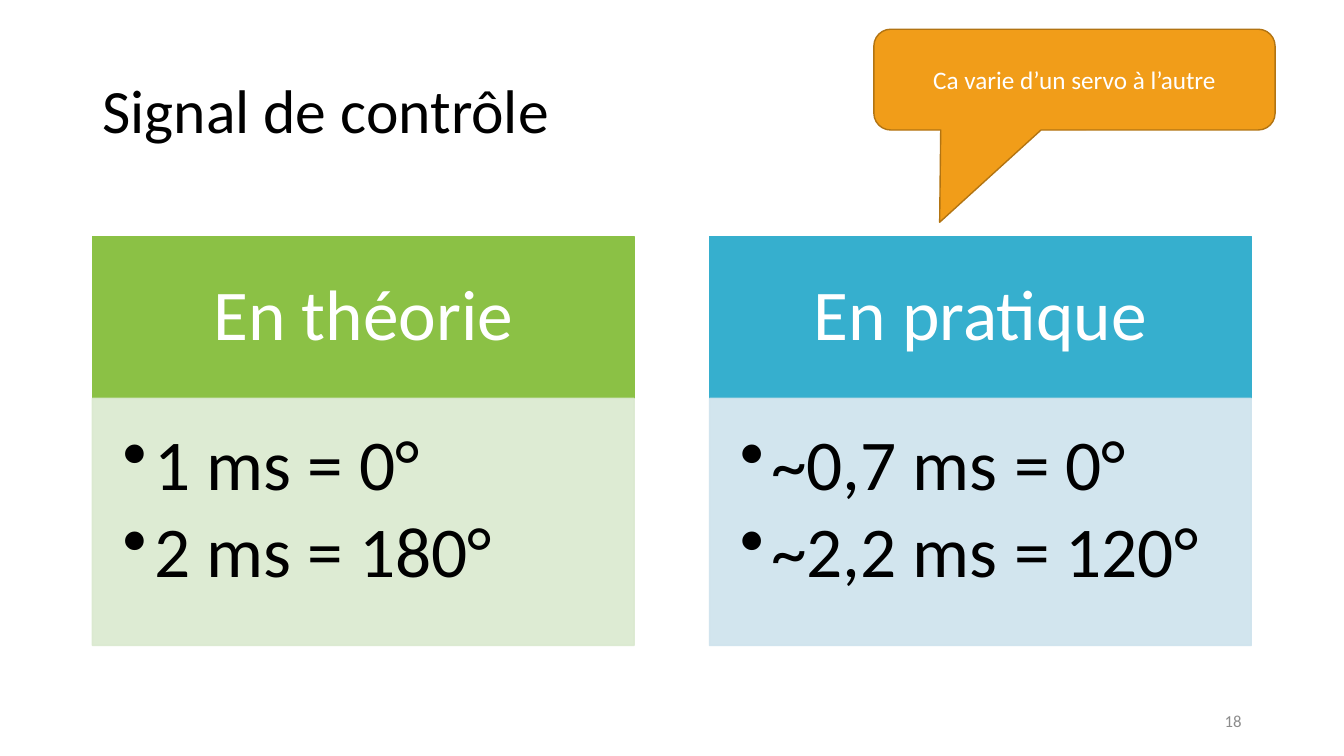
from lxml import etree
from pptx import Presentation
from pptx.dml.color import RGBColor
from pptx.enum import shapes, text
from pptx.oxml import ns
from pptx.util import Pt

COLORS = {
    "black": "000000", "white": "FFFFFF", "grey": "8C8C8C",
    "green": "8BC145", "pale green": "DAE9CF",
    "blue": "36AFCE", "pale blue": "CEE3ED",
    "orange": "F19D19", "brown": "B27412",
}
SHAPE = shapes.MSO_SHAPE
ALIGN = text.PP_ALIGN
ANCHOR = text.MSO_ANCHOR


def add_box(kind, box, fill, line, alpha=None):
    sp = slide.shapes.add_shape(kind, *map(Pt, box))
    sp.shadow.inherit = False
    sp.line.width = Pt(1)
    for target, color in ((sp.fill, fill), (sp.line.fill, line)):
        target.solid()
        target.fore_color.rgb = RGBColor.from_string(COLORS[color])
    if alpha:
        for clr in sp._element.spPr.iter(ns.qn("a:srgbClr")):
            etree.SubElement(clr, ns.qn("a:alpha"), val=str(alpha * 1000))
    return sp


def write(sp, lines, size, color, anchor=ANCHOR.MIDDLE, insets=(7.2, 3.6, 7.2, 3.6), **fmt):
    """Fill a shape with paragraphs; insets run left, top, right, bottom."""
    tf = sp.text_frame
    tf.word_wrap = True
    tf.vertical_anchor = anchor
    for side, inset in zip(("left", "top", "right", "bottom"), insets):
        setattr(tf, f"margin_{side}", Pt(inset))
    tf.text = "\n".join(lines)
    for p in tf.paragraphs:
        for name, value in fmt.items():
            setattr(p, name, value)
        p.font.name = "Calibri"
        p.font.size = Pt(size)
        p.font.color.rgb = RGBColor.from_string(COLORS[color])


prs = Presentation()
prs.slide_width, prs.slide_height = Pt(960), Pt(540)
slide = prs.slides.add_slide(prs.slide_layouts[5])

title = slide.shapes.title
title.left, title.top, title.width, title.height = map(Pt, (66, 28.75, 828, 104.4))
write(title, ["Signal de contrôle"], 44, "black", alignment=ALIGN.LEFT, line_spacing=0.9)

# Two columns: a heading above a bulleted panel
columns = [
    ("En théorie", ["1 ms = 0°", "2 ms = 180°"], "green"),
    ("En pratique", ["~0,7 ms = 0°", "~2,2 ms = 120°"], "blue"),
]
left, top, width, pitch = 66, 169, 387, 440.8
head_height, panel_height, indent = 115.6, 176.4, 22.5
for i, (heading, values, color) in enumerate(columns):
    x = left + i * pitch
    head = add_box(SHAPE.RECTANGLE, (x, top, width, head_height), color, color)
    write(head, [heading], 51, "white", insets=(28.8, 16.5, 28.8, 16.5),
          alignment=ALIGN.CENTER, line_spacing=0.9)

    pale = f"pale {color}"
    panel = add_box(SHAPE.RECTANGLE, (x, top + head_height, width, panel_height),
                    pale, pale, alpha=90)
    write(panel, values, 51, "black", ANCHOR.TOP, (21.6, 21.6, 28.8, 32.4),
          alignment=ALIGN.LEFT, line_spacing=0.9, space_after=Pt(7))
    for p in panel.text_frame.paragraphs:
        pPr = p._p.get_or_add_pPr()
        pPr.set("marL", str(Pt(indent)))
        pPr.set("indent", str(Pt(-indent)))
        bullet = etree.Element(ns.qn("a:buChar"), char="•")
        pPr.find(ns.qn("a:defRPr")).addprevious(bullet)

callout = add_box(SHAPE.ROUNDED_RECTANGULAR_CALLOUT, (624.2, 20.9, 286.6, 72), "orange", "brown")
for i, value in enumerate((-0.336, 1.415, 0.167)):
    callout.adjustments[i] = value
write(callout, ["Ca varie d’un servo à l’autre"], 18, "white", alignment=ALIGN.CENTER)

number = slide.shapes.add_textbox(*map(Pt, (678, 500.5, 216, 28.8)))
write(number, ["18"], 12, "grey", alignment=ALIGN.RIGHT)

prs.save("out.pptx")
